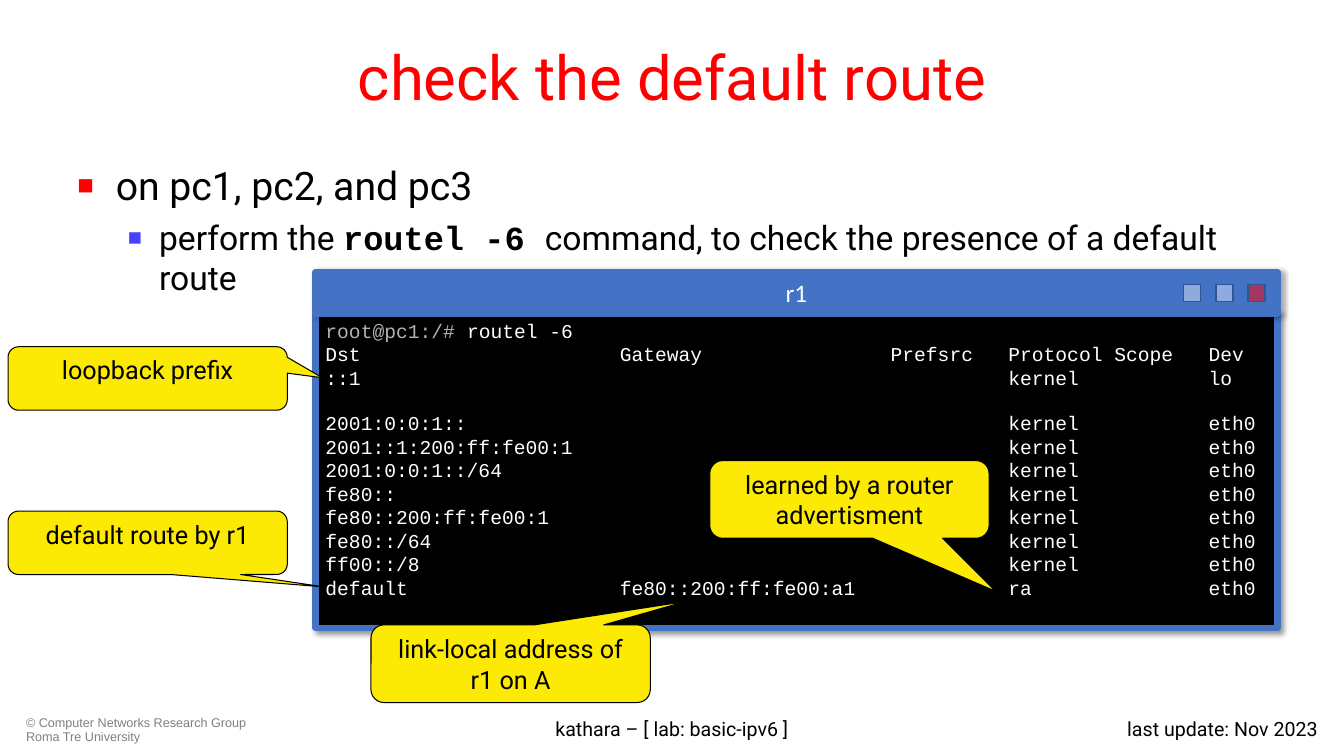
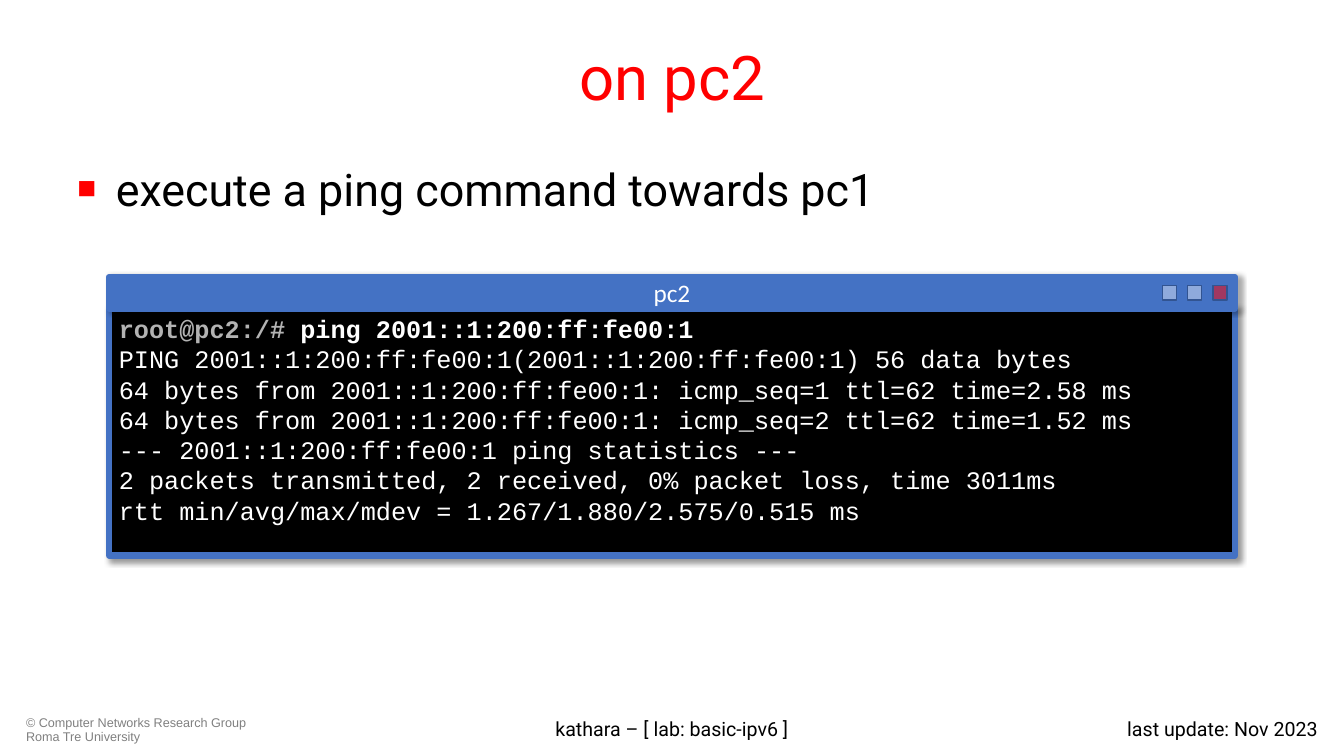
import dataclasses

import lxml.etree
import pptx
import pptx.dml.color
import pptx.enum.shapes
import pptx.enum.text
import pptx.oxml.ns
import pptx.util

Inches, Pt = pptx.util.Inches, pptx.util.Pt
ALIGN, ANCHOR = pptx.enum.text.PP_ALIGN, pptx.enum.text.MSO_ANCHOR
SHAPE = pptx.enum.shapes.MSO_SHAPE
qn = pptx.oxml.ns.qn


@dataclasses.dataclass(frozen=True)
class Theme:
    black: str = "000000"
    white: str = "FFFFFF"
    red: str = "FF0000"
    violet: str = "483FFF"
    grey: str = "808080"
    prompt: str = "B3B3B3"
    frame: str = "4472C4"
    button: str = "8FAADC"
    button_line: str = "325491"
    callout: str = "FCEA04"
    sans: str = "Roboto"
    mono: str = "Courier New"
    bar_font: str = "Calibri"
    credit_font: str = "Arial"
    title_size: int = 44
    label_size: int = 18
    footer_size: int = 14
    credit_size: int = 9
    mono_leading: float = 1.13


T = Theme()


def rgb(value):
    return pptx.dml.color.RGBColor.from_string(value)


def style(size, color=T.black, name=T.sans, **extra):
    return {"size": Pt(size), "name": name, "color": color, **extra}


def add_runs(p, runs):
    """Append (text, format) pairs to a paragraph."""
    for text, fmt in runs:
        r = p.add_run()
        r.text = text
        for key, value in fmt.items():
            if key == "color":
                r.font.color.rgb = rgb(value)
            else:
                setattr(r.font, key, value)


def write(tf, paragraphs, align=ALIGN.LEFT, anchor=ANCHOR.TOP):
    tf.word_wrap = True
    tf.vertical_anchor = anchor
    for i, runs in enumerate(paragraphs):
        p = tf.add_paragraph() if i else tf.paragraphs[0]
        p.alignment = align
        add_runs(p, runs)


def add_text(s, box, paragraphs, **layout):
    sp = s.shapes.add_textbox(*map(Inches, box))
    write(sp.text_frame, paragraphs, **layout)
    return sp.text_frame


def add_box(shapes, kind, box, fill, line, width):
    sp = shapes.add_shape(kind, *map(Inches, box))
    sp.shadow.inherit = False
    sp.fill.solid()
    sp.fill.fore_color.rgb = rgb(fill)
    sp.line.color.rgb = rgb(line)
    sp.line.width = Pt(width)
    return sp


def set_alpha(color, percent):
    lxml.etree.SubElement(color, qn("a:alpha"), val=str(percent * 1000))


def add_shadow(sp, alpha, blur, distance, angle):
    effects = sp._element.spPr.find(qn("a:effectLst"))
    shadow = lxml.etree.SubElement(
        effects, qn("a:outerShdw"), blurRad=str(Pt(blur)), dist=str(Pt(distance)),
        dir=str(angle * 60000), algn="tl", rotWithShape="0")
    set_alpha(lxml.etree.SubElement(shadow, qn("a:srgbClr"), val=T.black), alpha)


def set_bullet(p, margin, indent, color):
    pPr = p._p.get_or_add_pPr()
    pPr.set("marL", str(Inches(margin)))
    pPr.set("indent", str(-Inches(indent)))
    bullet_color = lxml.etree.SubElement(pPr, qn("a:buClr"))
    lxml.etree.SubElement(bullet_color, qn("a:srgbClr"), val=color)
    lxml.etree.SubElement(pPr, qn("a:buSzPct"), val="70000")
    lxml.etree.SubElement(pPr, qn("a:buFont"), typeface=T.credit_font)
    lxml.etree.SubElement(pPr, qn("a:buChar"), char="■")


def add_frame(prs, title):
    """Add a slide with its title and footers."""
    s = prs.slides.add_slide(prs.slide_layouts[6])
    credit = "© Computer Networks Research Group Roma Tre University"
    tf = add_text(s, (0.16, 7.06, 2.49, 0.36),
                  [[(credit, style(T.credit_size, T.grey, T.credit_font))]])
    tf.paragraphs[0].line_spacing = 0.9
    add_text(s, (0.67, 0.13, 12, 1.25), [[(title, style(T.title_size, T.red))]],
             align=ALIGN.CENTER, anchor=ANCHOR.MIDDLE)
    footer = style(T.footer_size)
    add_text(s, (10.13, 7.06, 3.04, 0.36), [[("last update: Nov 2023", footer)]],
             align=ALIGN.RIGHT)
    add_text(s, (3.41, 7.06, 6.51, 0.36), [[("kathara – [ lab: basic-ipv6 ]", footer)]],
             align=ALIGN.CENTER)
    return s


def add_bullets(s, items):
    """Place one bullet per level, the first item being the outermost."""
    levels = ((0.38, 0.38, T.red), (0.81, 0.31, T.violet))
    tf = add_text(s, (0.67, 1.55, 12, 5.15), items)
    for i, (p, level) in enumerate(zip(tf.paragraphs, levels)):
        p.level = i
        set_bullet(p, *level)
        if i:
            p.space_before = Pt(6)


def add_terminal(s, box, bar, host, paragraphs, button, step):
    """Draw a window in box, whose title bar has height bar."""
    left, top, width, height = box
    shapes = s.shapes.add_group_shape().shapes
    screen = add_box(shapes, SHAPE.RECTANGLE, (left, top + bar, width, height - bar),
                     T.black, T.frame, 4.5)
    add_shadow(screen, 40, 4, 3, 45)
    write(screen.text_frame, paragraphs)
    header = add_box(shapes, SHAPE.RECTANGLE, (left, top, width, bar),
                     T.frame, T.frame, 4.5)
    add_shadow(header, 32, 4, 2, 0)
    write(header.text_frame, [[(host, style(T.label_size, T.white, T.bar_font))]],
          align=ALIGN.CENTER, anchor=ANCHOR.MIDDLE)
    close_left = left + width - 0.71 * bar
    for i, fill in enumerate((T.red, T.button, T.button)):
        sp = add_box(shapes, SHAPE.RECTANGLE,
                     (close_left - i * step, top + (bar - button) / 2, button, button),
                     fill, T.button_line, 1)
        if fill == T.red:
            set_alpha(sp._element.spPr.find(".//" + qn("a:srgbClr")), 50)
    return screen.text_frame


def session(host, command, output, size, bold=False):
    """Return the paragraphs of a prompt line and the output below it."""
    prompt = style(size, T.prompt, T.mono, bold=bold)
    typed = style(size, T.white, T.mono, bold=bold)
    plain = style(size, T.white, T.mono)
    return [[(f"root@{host}:/# ", prompt), (command, typed)],
            *[[(line, plain)] for line in output]]


def add_callout(s, box, tip, text):
    sp = add_box(s.shapes, SHAPE.ROUNDED_RECTANGULAR_CALLOUT, box, T.callout, T.black, 0.75)
    for i, value in enumerate((*tip, 0.167)):
        sp.adjustments[i] = value
    write(sp.text_frame, [[(text, style(T.label_size))]], align=ALIGN.CENTER)


def route_line(dst, gateway="", prefsrc="", protocol="kernel", scope="", dev="eth0"):
    return f"{dst:<25}{gateway:<23}{prefsrc:<10}{protocol:<9}{scope:<8}{dev}"


def default_route_slide(prs):
    s = add_frame(prs, "check the default route")
    body = style(24)
    add_bullets(s, [
        [("on pc1, pc2, and pc3", style(28))],
        [("perform the ", body),
         ("routel -6 ", style(24, name=T.mono, bold=True)),
         ("command, to check the presence of a default route", body)],
    ])
    kernel_routes = ("2001:0:0:1::", "2001::1:200:ff:fe00:1", "2001:0:0:1::/64", "fe80::",
                     "fe80::200:ff:fe00:1", "fe80::/64", "ff00::/8")
    output = [
        route_line("Dst", "Gateway", "Prefsrc", "Protocol", "Scope", "Dev"),
        route_line("::1", dev="lo"),
        *map(route_line, kernel_routes),
        route_line("default", "fe80::200:ff:fe00:a1", protocol="ra"),
    ]
    size = 14
    tf = add_terminal(s, (3.13, 2.7, 9.54, 3.53), 0.41, "r1",
                      session("pc1", "routel -6", output, size), button=0.17, step=0.32)
    tf.paragraphs[3].space_before = Pt(size * T.mono_leading)
    for box, tip, text in (
        ((0.08, 5.07, 2.77, 0.63), (0.632, 0.696), "default route by r1"),
        ((0.08, 3.44, 2.77, 0.63), (0.626, -0.011), "loopback prefix"),
        ((7.04, 4.57, 2.77, 0.77), (0.523, 1.183), "learned by a router advertisment"),
        ((3.68, 6.2, 2.77, 0.77), (0.626, -0.802), "link-local address of r1 on A"),
    ):
        add_callout(s, box, tip, text)


def ping_slide(prs):
    s = add_frame(prs, "on pc2")
    add_bullets(s, [[("execute a ping command towards pc1", style(32))]])
    output = [
        "PING 2001::1:200:ff:fe00:1(2001::1:200:ff:fe00:1) 56 data bytes",
        "64 bytes from 2001::1:200:ff:fe00:1: icmp_seq=1 ttl=62 time=2.58 ms",
        "64 bytes from 2001::1:200:ff:fe00:1: icmp_seq=2 ttl=62 time=1.52 ms",
        "--- 2001::1:200:ff:fe00:1 ping statistics ---",
        "2 packets transmitted, 2 received, 0% packet loss, time 3011ms",
        "rtt min/avg/max/mdev = 1.267/1.880/2.575/0.515 ms",
    ]
    add_terminal(s, (1.08, 2.75, 11.17, 2.76), 0.31, "pc2",
                 session("pc2", "ping 2001::1:200:ff:fe00:1", output, 18, bold=True),
                 button=0.14, step=0.25)


def main():
    prs = pptx.Presentation()
    prs.slide_width, prs.slide_height = Inches(13.33), Inches(7.5)
    default_route_slide(prs)
    ping_slide(prs)
    prs.save("out.pptx")


if __name__ == "__main__":
    main()
